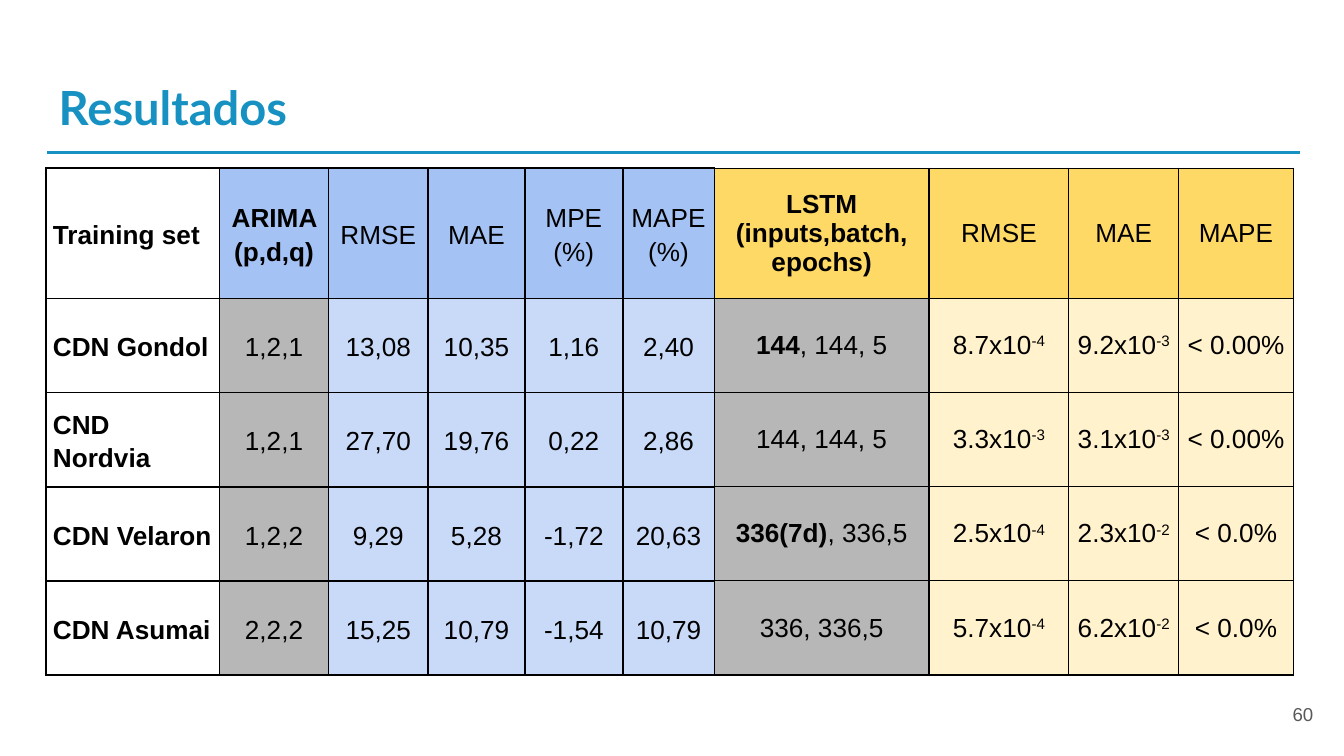
from dataclasses import dataclass

from lxml import etree
from pptx import Presentation
from pptx import util as u
from pptx.dml.color import RGBColor
from pptx.enum import shapes, text
from pptx.oxml import ns


@dataclass(frozen=True)
class Theme:
    head: str = "Lato"
    body: str = "Arial"
    blue: str = "1691C1"
    ink: str = "000000"
    dim: str = "595959"
    grey: str = "B7B7B7"
    sky: str = "A4C2F4"
    pale: str = "C9DAF8"
    gold: str = "FFD966"
    cream: str = "FFF2CC"
    title: float = 25.2
    cell: float = 14
    note: float = 10
    thick: float = 1
    thin: float = 0.75


WIDTHS = [3.28, 2.06, 1.88, 1.83, 1.85, 1.73, 4.06, 2.64, 2.08, 2.16]
HEIGHTS = [2.46] + [1.78] * 4
SPLIT = 6  # first LSTM column

# In cells, * switches bold and ^ starts a superscript
ROWS = [
    ["*Training set", "*ARIMA (p,d,q)", "RMSE", "MAE", "MPE (%)", "MAPE (%)",
     "*LSTM\n*(inputs,batch, epochs)", "RMSE", "MAE", "MAPE"],
    ["*CDN Gondol", "1,2,1", "13,08", "10,35", "1,16", "2,40",
     "*144*, 144, 5", "8.7x10^-4", "9.2x10^-3", "< 0.00%"],
    ["*CND Nordvia", "1,2,1", "27,70", "19,76", "0,22", "2,86",
     "144, 144, 5", "3.3x10^-3", "3.1x10^-3", "< 0.00%"],
    ["*CDN Velaron", "1,2,2", "9,29", "5,28", "-1,72", "20,63",
     "*336(7d)*, 336,5", "2.5x10^-4", "2.3x10^-2", "< 0.0%"],
    ["*CDN Asumai", "2,2,2", "15,25", "10,79", "-1,54", "10,79",
     "336, 336,5", "5.7x10^-4", "6.2x10^-2", "< 0.0%"],
]


class Deck:
    def __init__(self, theme):
        self.theme = theme
        self.prs = Presentation()
        self.prs.slide_width, self.prs.slide_height = u.Cm(25.4), u.Cm(14.29)
        self.slide = self.prs.slides.add_slide(self.prs.slide_layouts[5])

    def font(self, para, size, color, face, bold=False):
        font = para.font
        font.name, font.size, font.bold = face, u.Pt(size), bold
        font.color.rgb = RGBColor.from_string(color)

    def frame(self, frame, anchor):
        frame.word_wrap = True
        frame.auto_size = text.MSO_AUTO_SIZE.NONE
        frame.vertical_anchor = anchor
        frame.margin_left = frame.margin_right = u.Cm(0.25)
        frame.margin_top = frame.margin_bottom = u.Cm(0.25)

    def title(self, words, x, y, w, h):
        box = self.slide.shapes.title
        box.left, box.top, box.width, box.height = map(u.Cm, (x, y, w, h))
        self.frame(box.text_frame, text.MSO_ANCHOR.TOP)
        box.text_frame.text = words
        para = box.text_frame.paragraphs[0]
        para.alignment = text.PP_ALIGN.LEFT
        self.font(para, self.theme.title, self.theme.blue, self.theme.head, True)

    def rule(self, x, y, end, width):
        line = self.slide.shapes.add_connector(
            shapes.MSO_CONNECTOR.STRAIGHT, u.Cm(x), u.Cm(y), u.Cm(end), u.Cm(y))
        line.line.color.rgb = RGBColor.from_string(self.theme.blue)
        line.line.width = u.Pt(width)
        etree.SubElement(line._element.spPr, ns.qn("a:effectLst"))

    def number(self, words, x, y, w, h):
        box = self.slide.shapes.add_textbox(*map(u.Cm, (x, y, w, h)))
        self.frame(box.text_frame, text.MSO_ANCHOR.MIDDLE)
        para = box.text_frame.paragraphs[0]
        para.text = words
        para.alignment = text.PP_ALIGN.RIGHT
        self.font(para, self.theme.note, self.theme.dim, self.theme.body)

    def table(self, rows, widths, heights, x, y):
        grid = self.slide.shapes.add_table(
            len(rows), len(widths), u.Cm(x), u.Cm(y),
            u.Cm(sum(widths)), u.Cm(sum(heights))).table
        grid.first_row = grid.horz_banding = False
        for col, width in zip(grid.columns, widths):
            col.width = u.Cm(width)
        for row, height in zip(grid.rows, heights):
            row.height = u.Cm(height)
        for r, row in enumerate(rows):
            for c, words in enumerate(row):
                self.cell(grid.cell(r, c), words, r, c)

    def cell(self, cell, words, r, c):
        lstm = c >= SPLIT
        cell.vertical_anchor = text.MSO_ANCHOR.MIDDLE
        cell.margin_left = cell.margin_right = u.Cm(0.13)
        cell.margin_top = cell.margin_bottom = u.Cm(0 if lstm else 0.25)
        self.edges(cell, c)
        color = self.shade(r, c)
        if color:
            cell.fill.solid()
            cell.fill.fore_color.rgb = RGBColor.from_string(color)
        else:
            cell.fill.background()
        for i, part in enumerate(words.split("\n")):
            frame = cell.text_frame
            para = frame.add_paragraph() if i else frame.paragraphs[0]
            para.alignment = text.PP_ALIGN.CENTER if c else text.PP_ALIGN.LEFT
            para.line_spacing = 1.0 if lstm else 1.15
            self.runs(para, part)

    def runs(self, para, words):
        parts = words.split("*")
        mixed = len(parts) > 2
        self.font(para, self.theme.cell, self.theme.ink, self.theme.body,
                  len(parts) == 2)
        for i, part in enumerate(parts):
            base, _, power = part.partition("^")
            if base:
                run = para.add_run()
                run.text = base
                if mixed:
                    run.font.bold = i % 2 == 1
            if power:
                run = para.add_run()
                run.text = power
                run._r.get_or_add_rPr().set("baseline", "30000")

    def shade(self, r, c):
        t = self.theme
        if c == 0:
            return None
        if r == 0:
            return t.gold if c >= SPLIT else t.sky
        if c in (1, SPLIT):
            return t.grey
        return t.cream if c > SPLIT else t.pale

    def edges(self, cell, c):
        t = self.theme
        props = cell._tc.get_or_add_tcPr()
        for side in "LRTB":
            thin = c >= SPLIT or (c == SPLIT - 1 and side == "R")
            width = u.Pt(t.thin if thin else t.thick)
            line = etree.SubElement(props, ns.qn("a:ln" + side), w=str(width))
            fill = etree.SubElement(line, ns.qn("a:solidFill"))
            etree.SubElement(fill, ns.qn("a:srgbClr"), val=t.ink)


def main():
    deck = Deck(Theme())
    # Heading and rule
    deck.title("Resultados", 0.86, 1.24, 24.26, 1.6)
    deck.rule(0.89, 2.88, 24.56, 1.5)
    # Model comparison
    deck.table(ROWS, WIDTHS, HEIGHTS, 0.87, 3.18)
    # Page number
    deck.number("60", 23.55, 12.95, 1.52, 1.09)
    deck.prs.save("out.pptx")


if __name__ == "__main__":
    main()
